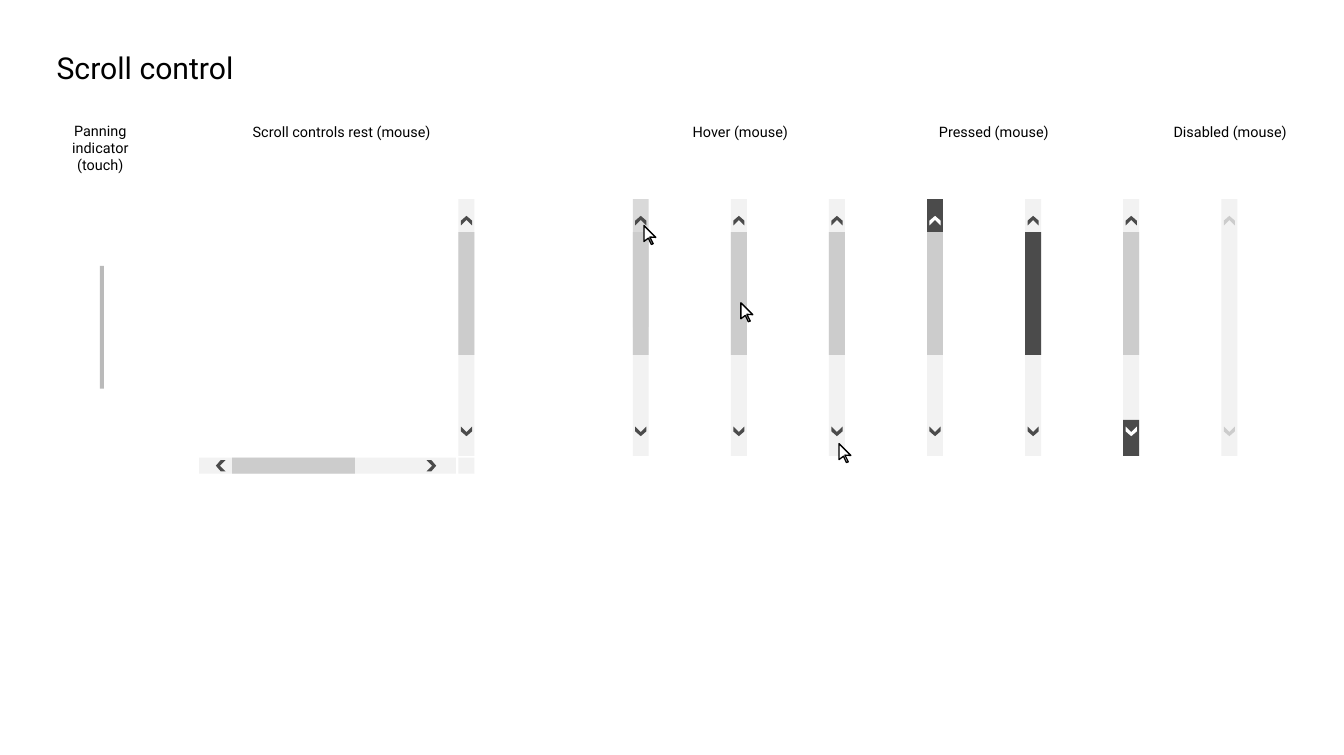
from pptx import Presentation
from pptx.dml.color import RGBColor
from pptx.enum.shapes import MSO_SHAPE
from pptx.enum.text import MSO_ANCHOR, MSO_AUTO_SIZE, PP_ALIGN
from pptx.util import Cm, Pt

COLORS = {
    "text": "000000", "white": "FFFFFF", "track": "F2F2F2", "hover": "D9D9D9",
    "thumb": "CCCCCC", "dark": "4B4B4B", "panning": "BABABA",
}
FONT = "Roboto"

# Scroll bar geometry in cm, measured along the bar
BAR_WIDTH = 0.43
TRACK = (5.36, 6.91)
THUMB = (6.25, 3.3)
ARROW_CENTRES = (5.94, 11.61)

# Outlines in cm: chevron about its centre, pointer from its tip
CHEVRON = [(0, -0.13), (-0.15, 0), (-0.15, 0.13), (0, -0.02), (0.15, 0.13), (0.15, 0)]
POINTER = [(0, 0), (0.32, 0.32), (0.16, 0.31), (0.25, 0.49), (0.2, 0.51),
           (0.12, 0.34), (0, 0.43)]


class ScrollSheet:
    def __init__(self, page):
        self.page = page

    def color(self, name):
        return RGBColor.from_string(COLORS[name])

    def paint(self, shape, fill, line=None):
        shape.shadow.inherit = False
        shape.fill.solid()
        shape.fill.fore_color.rgb = self.color(fill)
        if line:
            shape.line.color.rgb = self.color(line)
            shape.line.width = Pt(1)
        else:
            shape.line.fill.background()

    def set_text(self, box, text, size, align):
        frame = box.text_frame
        frame.word_wrap = True
        frame.auto_size = MSO_AUTO_SIZE.NONE
        frame.vertical_anchor = MSO_ANCHOR.TOP
        frame.text = text
        para = frame.paragraphs[0]
        para.alignment = align
        para.font.name = FONT
        para.font.size = Pt(size)
        para.font.color.rgb = self.color("text")

    def title(self, text, left, top, width, height):
        box = self.page.shapes.title
        box.left, box.top, box.width, box.height = map(Cm, (left, top, width, height))
        self.set_text(box, text, 23, PP_ALIGN.LEFT)

    def label(self, text, left, top, width, height, align=PP_ALIGN.LEFT):
        box = self.page.shapes.add_textbox(*map(Cm, (left, top, width, height)))
        self.set_text(box, text, 11, align)

    def block(self, shapes, left, top, width, height, fill):
        shape = shapes.add_shape(MSO_SHAPE.RECTANGLE, *map(Cm, (left, top, width, height)))
        self.paint(shape, fill)

    def outline(self, shapes, points, fill, line=None):
        corners = [(Cm(x), Cm(y)) for x, y in points]
        builder = shapes.build_freeform(*corners[0])
        builder.add_line_segments(corners[1:], close=True)
        self.paint(builder.convert_to_shape(), fill, line)

    def scroll_bar(self, across, sections, arrows=("dark", "dark"),
                   pointer=None, horizontal=False):
        shapes = self.page.shapes.add_group_shape().shapes
        for start, length, fill in sections:
            if horizontal:
                self.block(shapes, start, across, length, BAR_WIDTH, fill)
            else:
                self.block(shapes, across, start, BAR_WIDTH, length, fill)
        # The second arrow is the first one mirrored
        middle = across + BAR_WIDTH / 2
        for centre, flip, fill in zip(ARROW_CENTRES, (1, -1), arrows):
            points = [(middle + x, centre + flip * y) for x, y in CHEVRON]
            if horizontal:
                points = [(y, x) for x, y in points]
            self.outline(shapes, points, fill)
        if pointer:
            left, top = pointer
            points = [(across + left + x, top + y) for x, y in POINTER]
            self.outline(shapes, points, "white", "text")


def main():
    deck = Presentation()
    deck.slide_width, deck.slide_height = Cm(36.17), Cm(20.32)
    sheet = ScrollSheet(deck.slides.add_slide(deck.slide_layouts[5]))
    shapes = sheet.page.shapes
    sheet.title("Scroll control", 1.27, 1.19, 6.17, 1.24)

    # Panning indicator
    sheet.block(shapes, 2.69, 7.16, 0.11, 3.3, "panning")

    # Bars at rest and the corner between them
    track = (*TRACK, "track")
    thumb = (*THUMB, "thumb")
    rest = [track, thumb]
    sheet.scroll_bar(12.34, rest)
    sheet.scroll_bar(12.32, rest, horizontal=True)
    sheet.block(shapes, 12.34, 12.32, BAR_WIDTH, BAR_WIDTH, "track")

    # Hover, pressed and disabled bars in equal columns
    half = TRACK[1] / 2
    hover_top = [(TRACK[0], half, "hover"), (TRACK[0] + half, half, "track"), thumb]
    pressed_top = [(TRACK[0], 1.27, "dark"), (8.41, 3.86, "track"), thumb]
    pressed_thumb = [track, (*THUMB, "dark")]
    pressed_bottom = [*rest, (11.3, 0.97, "dark")]
    states = [
        {"sections": hover_top, "pointer": (0.3, 6.07)},
        {"sections": rest, "pointer": (0.27, 8.15)},
        {"sections": rest, "pointer": (0.27, 11.94)},
        {"sections": pressed_top, "arrows": ("white", "dark")},
        {"sections": pressed_thumb},
        {"sections": pressed_bottom, "arrows": ("dark", "white")},
        {"sections": [track], "arrows": ("thumb", "thumb")},
    ]
    for column, state in enumerate(states):
        sheet.scroll_bar(17.03 + 2.64 * column, **state)

    # Column labels
    sheet.label("Panning indicator (touch)", 1.47, 3.15, 2.46, 1.68, PP_ALIGN.CENTER)
    sheet.label("Scroll controls rest (mouse)", 6.55, 3.18, 6.86, 0.74)
    sheet.label("Hover (mouse)", 18.39, 3.18, 3.63, 0.74)
    sheet.label("Pressed (mouse)", 25.02, 3.18, 3.63, 0.74)
    sheet.label("Disabled (mouse)", 31.19, 3.18, 3.84, 0.74, PP_ALIGN.CENTER)

    deck.save("out.pptx")


if __name__ == "__main__":
    main()
